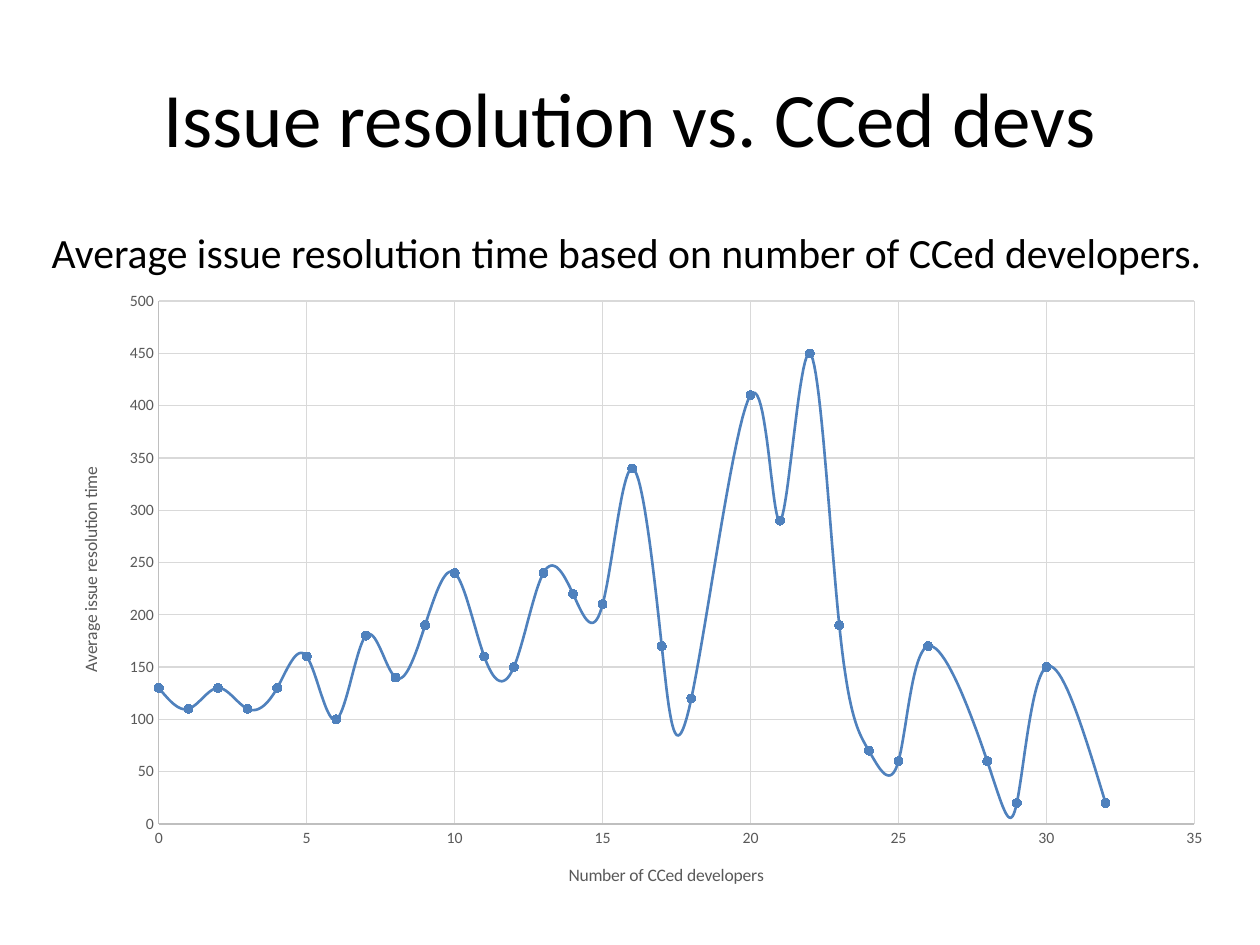
from dataclasses import dataclass

from lxml import etree
from pptx import Presentation
from pptx import util as u
from pptx.chart import data as chart_data
from pptx.dml import color
from pptx.enum import chart as ch
from pptx.enum import text as tx
from pptx.oxml import parse_xml
from pptx.oxml.ns import nsdecls, qn

FONT = "Calibri"
BLACK, GREY, AXIS, GRID, BLUE = "000000", "595959", "BFBFBF", "D9D9D9", "4F81BD"
DEVELOPERS = [*range(19), *range(20, 27), 28, 29, 30, 32]
TIMES = [130, 110, 130, 110, 130, 160, 100, 180, 140, 190,
         240, 160, 150, 240, 220, 210, 340, 170, 120, 410,
         290, 450, 190, 70, 60, 170, 60, 20, 150, 20]


@dataclass
class AxisStyle:
    title: str
    maximum: int
    step: int


@dataclass
class Heading:
    words: str
    place: tuple[float, float, float, float]
    size: float
    align: tx.PP_ALIGN
    anchor: tx.MSO_ANCHOR


def paint(target, value: str) -> None:
    """Give a fill or a line's fill one solid colour."""
    target.solid()
    target.fore_color.rgb = color.RGBColor.from_string(value)


def style_font(font, size: float, value: str) -> None:
    font.name, font.size, font.bold = FONT, u.Pt(size), False
    font.color.rgb = color.RGBColor.from_string(value)


def style_line(line, value: str, width: float) -> None:
    paint(line.fill, value)
    line.width = u.Pt(width)


def fill_heading(box, heading: Heading) -> None:
    box.left, box.top, box.width, box.height = map(u.Inches, heading.place)
    frame = box.text_frame
    frame.word_wrap = True
    frame.auto_size = tx.MSO_AUTO_SIZE.NONE
    frame.vertical_anchor = heading.anchor
    para = frame.paragraphs[0]
    para.alignment = heading.align
    span = para.add_run()
    span.text = heading.words
    style_font(span.font, heading.size, BLACK)


def remove_bullet(para) -> None:
    properties = para._p.get_or_add_pPr()
    properties.set("marL", "0")
    properties.set("indent", "0")
    etree.SubElement(properties, qn("a:buNone"))


def style_axis(axis, style: AxisStyle) -> None:
    axis.minimum_scale, axis.maximum_scale = 0, style.maximum
    axis.major_unit = style.step
    axis.major_tick_mark = axis.minor_tick_mark = ch.XL_TICK_MARK.NONE
    axis.has_major_gridlines = True
    style_line(axis.major_gridlines.format.line, GRID, 0.75)
    style_line(axis.format.line, AXIS, 0.75)
    style_font(axis.tick_labels.font, 9, GREY)
    span = axis.axis_title.text_frame.paragraphs[0].add_run()
    span.text = style.title
    style_font(span.font, 10, GREY)


def place_plot(chart, left: float, top: float, width: float, height: float) -> None:
    """Fix the inner plot area, in fractions of the chart."""
    parts = "".join(f'<c:{name}Mode val="edge"/>' for name in "xy")
    parts += "".join(f'<c:{name} val="{value}"/>'
                     for name, value in zip("xywh", (left, top, width, height)))
    area = chart._chartSpace.chart.plotArea
    for layout in area.findall(qn("c:layout")):
        area.remove(layout)
    area.insert(0, parse_xml(
        f'<c:layout {nsdecls("c")}><c:manualLayout><c:layoutTarget val="inner"/>'
        f"{parts}</c:manualLayout></c:layout>"))


def add_scatter(slide) -> None:
    points = chart_data.XyChartData()
    series_data = points.add_series("Series 1")
    for developers, time in zip(DEVELOPERS, TIMES):
        series_data.add_data_point(developers, time)
    chart = slide.shapes.add_chart(
        ch.XL_CHART_TYPE.XY_SCATTER_SMOOTH, u.Inches(0.42), u.Inches(2.24),
        u.Inches(9.34), u.Inches(5), points).chart
    chart.has_legend = chart.has_title = False
    style_font(chart.font, 10, BLACK)
    style_axis(chart.category_axis, AxisStyle("Number of CCed developers", 35, 5))
    style_axis(chart.value_axis, AxisStyle("Average issue resolution time", 500, 50))
    place_plot(chart, 0.09, 0.03, 0.88, 0.83)
    plot = chart.plots[0]
    plot.vary_by_categories = False
    series = plot.series[0]
    series_xml = series._element
    smooth = series_xml.find(qn("c:smooth"))
    if smooth is None:
        smooth = etree.SubElement(series_xml, qn("c:smooth"))
    smooth.set("val", "1")
    style_line(series.format.line, BLUE, 1.5)
    series.marker.style, series.marker.size = ch.XL_MARKER_STYLE.CIRCLE, 5
    paint(series.marker.format.fill, BLUE)
    style_line(series.marker.format.line, BLUE, 0.75)


def main() -> None:
    deck = Presentation()
    deck.slide_width, deck.slide_height = u.Inches(10), u.Inches(7.5)
    slide = deck.slides.add_slide(deck.slide_layouts[1])
    paint(slide.background.fill, "FFFFFF")
    fill_heading(slide.shapes.title, Heading(
        "Issue resolution vs. CCed devs", (0.5, 0.3, 9, 1.25), 44,
        tx.PP_ALIGN.CENTER, tx.MSO_ANCHOR.MIDDLE))
    body = slide.placeholders[1]
    fill_heading(body, Heading(
        "Average issue resolution time based on number of CCed developers.",
        (0.31, 1.75, 9.45, 0.78), 23.8, tx.PP_ALIGN.JUSTIFY, tx.MSO_ANCHOR.TOP))
    remove_bullet(body.text_frame.paragraphs[0])
    add_scatter(slide)
    deck.save("out.pptx")


if __name__ == "__main__":
    main()
